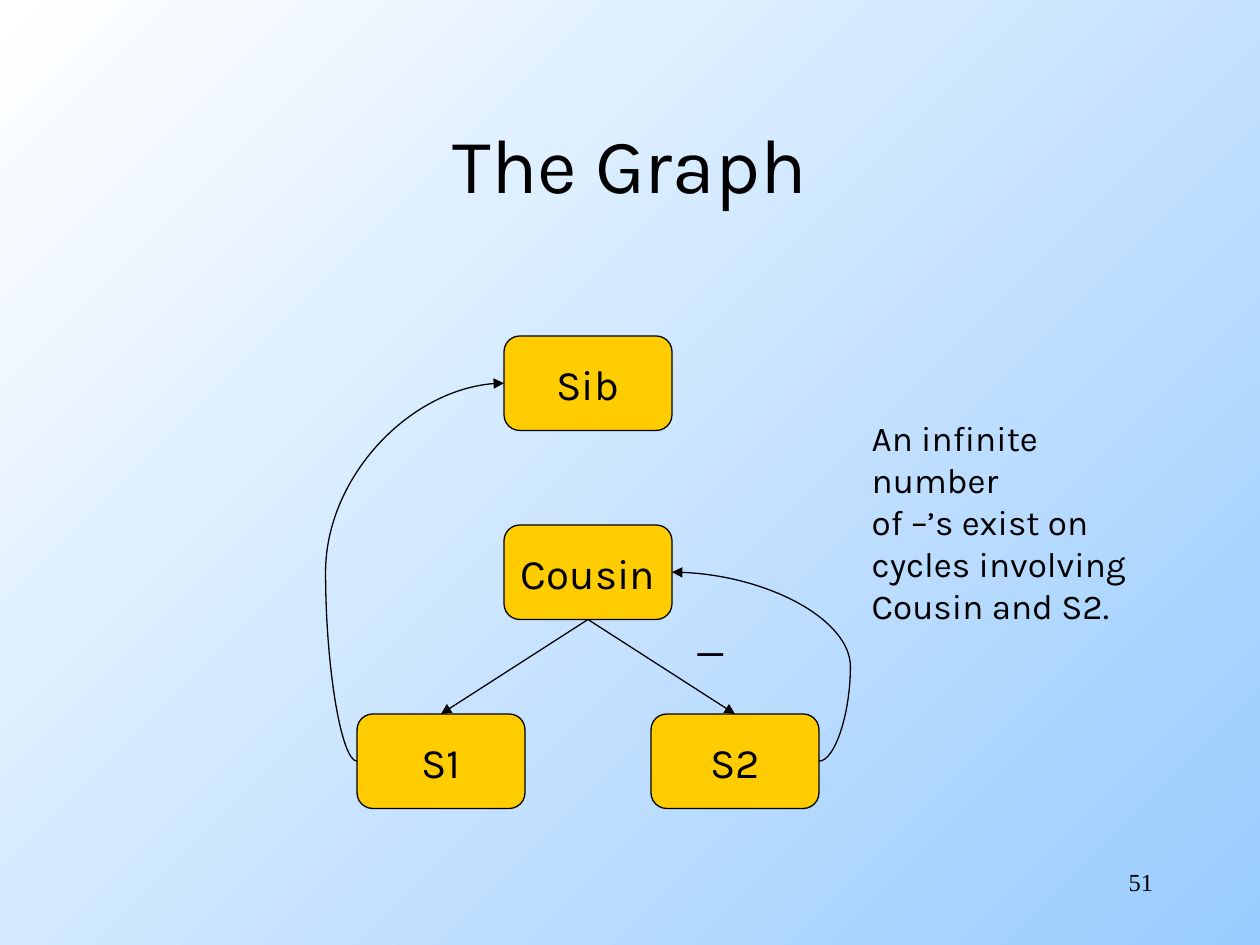
from lxml.etree import SubElement as Sub
from pptx import Presentation
from pptx.dml.color import RGBColor as Rgb
from pptx.enum.shapes import MSO_CONNECTOR as Link, MSO_SHAPE as Kind
from pptx.enum.text import MSO_ANCHOR as Anchor, PP_ALIGN as Align
from pptx.oxml.ns import qn
from pptx.util import Inches, Pt

TITLE = "The Graph"
# name: (column, row), columns counted from the middle one
NODES = {"Sib": (0, 0), "Cousin": (0, 1), "S1": (-1, 2), "S2": (1, 2)}
TOP, LEFT, BASE, RIGHT = range(4)
# from, side, to, side, bend (None is straight)
EDGES = [
    ("Cousin", BASE, "S2", TOP, None),
    ("S2", RIGHT, "Cousin", RIGHT, -21400),
    ("Cousin", BASE, "S1", TOP, None),
    ("S1", LEFT, "Sib", LEFT, -21400),
]
NOTE = ["An infinite number", "of –’s exist on", "cycles involving", "Cousin and S2."]
# lines, place, size, font, align, wrap
LABELS = [
    (["51"], (7.17, 6.83, 2.08, 0.5), "page", "serif", Align.RIGHT, True),
    (["_"], (5.42, 4.83, 0.38, 0.5), "node", "sans", Align.LEFT, False),
    (NOTE, (6.82, 3.26, 2.47, 1.43), "note", "sans", Align.LEFT, True),
]
THEME = {
    "ink": Rgb.from_string("000000"),
    "box": Rgb.from_string("FFCC00"),
    "back": [Rgb.from_string("FFFFFF"), Rgb.from_string("99CCFF")],
    "line": Pt(0.75),
    "sans": "Karla",
    "serif": "Times New Roman",
    "title": Pt(44), "node": Pt(24), "note": Pt(20), "page": Pt(14),
}
WIDE, HIGH = 10, 7.5
BOX_W, BOX_H = WIDE * 2 / 15, HIGH / 10
COL, ROW = WIDE * 7 / 60, HIGH / 5
GRID_X, GRID_Y = 4, WIDE * 4 / 15


def write(frame, lines, size, font="sans", align=Align.CENTER):
    """Fill a text frame, one paragraph a line."""
    for i, line in enumerate(lines):
        para = frame.add_paragraph() if i else frame.paragraphs[0]
        para.alignment = align
        run = para.add_run()
        run.text = line
        run.font.size, run.font.name = THEME[size], THEME[font]
        run.font.color.rgb = THEME["ink"]


def ink(line):
    """Give an outline its colour and width."""
    line.color.rgb, line.width = THEME["ink"], THEME["line"]


def paint(slide):
    """Set the diagonal background gradient."""
    fill = slide.background.fill
    fill.gradient()
    fill.gradient_angle = 315
    for stop, tint in zip(fill.gradient_stops, THEME["back"]):
        stop.color.rgb = tint


def add_title(slide):
    """Place and fill the title."""
    title = slide.shapes.title
    title.left, title.top = Inches(0.75), Inches(0.67)
    title.width, title.height = Inches(8.5), Inches(1.25)
    title.text_frame.vertical_anchor = Anchor.MIDDLE
    write(title.text_frame, [TITLE], "title")


def add_node(slide, name, col, row):
    """Draw one graph node in its grid cell."""
    place = (GRID_X + col * COL, GRID_Y + row * ROW, BOX_W, BOX_H)
    node = slide.shapes.add_shape(
        Kind.FLOWCHART_ALTERNATE_PROCESS, *map(Inches, place))
    node.shadow.inherit = False
    node.fill.solid()
    node.fill.fore_color.rgb = THEME["box"]
    ink(node.line)
    node.text_frame.word_wrap = False
    node.text_frame.vertical_anchor = Anchor.MIDDLE
    write(node.text_frame, [name], "node")
    return node


def add_edge(slide, start, out, end, into, bend):
    """Join two nodes with an arrow, curved when it has a bend."""
    kind = Link.STRAIGHT if bend is None else Link.CURVE
    edge = slide.shapes.add_connector(kind, 0, 0, 0, 0)
    edge.begin_connect(start, out)
    edge.end_connect(end, into)
    ink(edge.line)
    Sub(edge.line._get_or_add_ln(), qn("a:tailEnd"), type="triangle")
    props = edge._element.spPr
    Sub(props, qn("a:effectLst"))
    if bend is not None:
        geom = props.find(qn("a:prstGeom"))
        adj = geom.find(qn("a:avLst"))
        if adj is None:
            adj = Sub(geom, qn("a:avLst"))
        Sub(adj, qn("a:gd"), name="adj1", fmla=f"val {bend}")


def add_label(slide, lines, place, size, font, align, wrap):
    """Add a free text box."""
    frame = slide.shapes.add_textbox(*map(Inches, place)).text_frame
    frame.word_wrap = wrap
    write(frame, lines, size, font, align)


def main():
    """Build and save the slide."""
    deck = Presentation()
    deck.slide_width, deck.slide_height = Inches(WIDE), Inches(HIGH)
    slide = deck.slides.add_slide(deck.slide_layouts[5])
    paint(slide)
    add_title(slide)
    nodes = {name: add_node(slide, name, *cell) for name, cell in NODES.items()}
    for start, out, end, into, bend in EDGES:
        add_edge(slide, nodes[start], out, nodes[end], into, bend)
    for label in LABELS:
        add_label(slide, *label)
    deck.save("out.pptx")


main()
